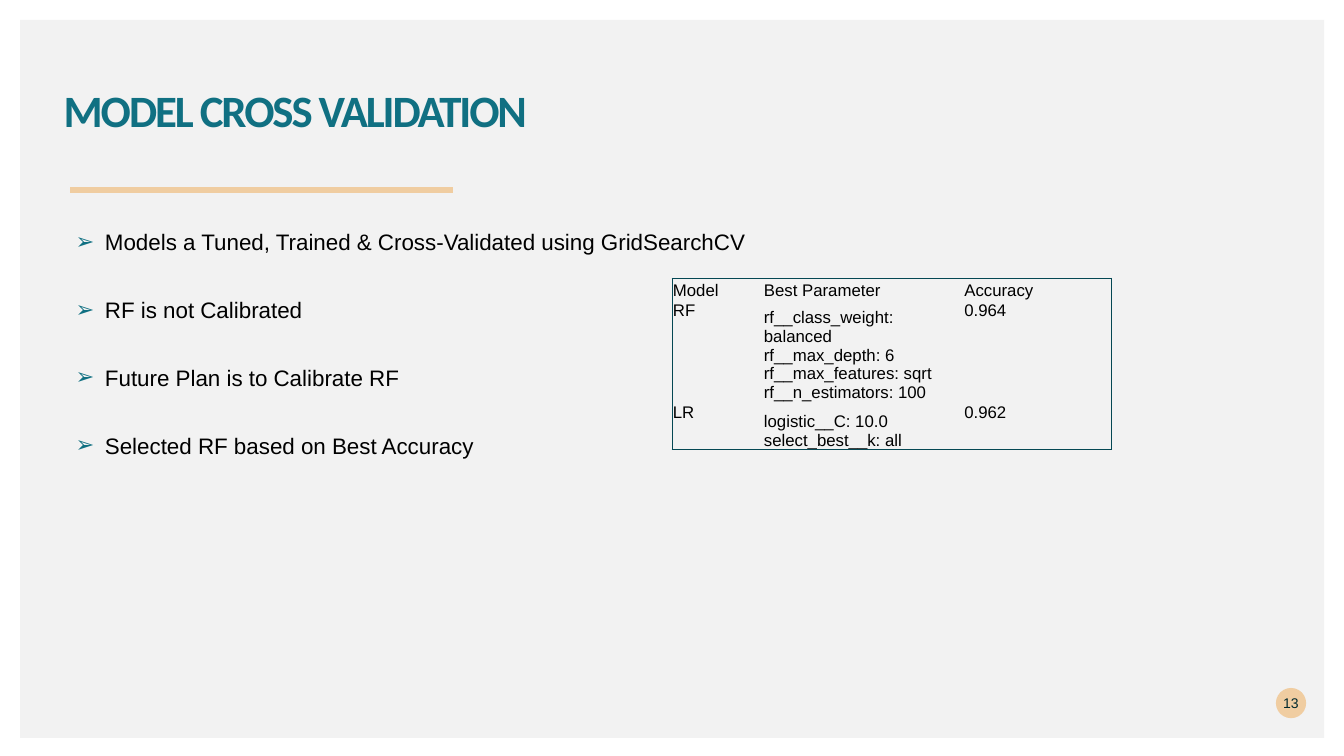
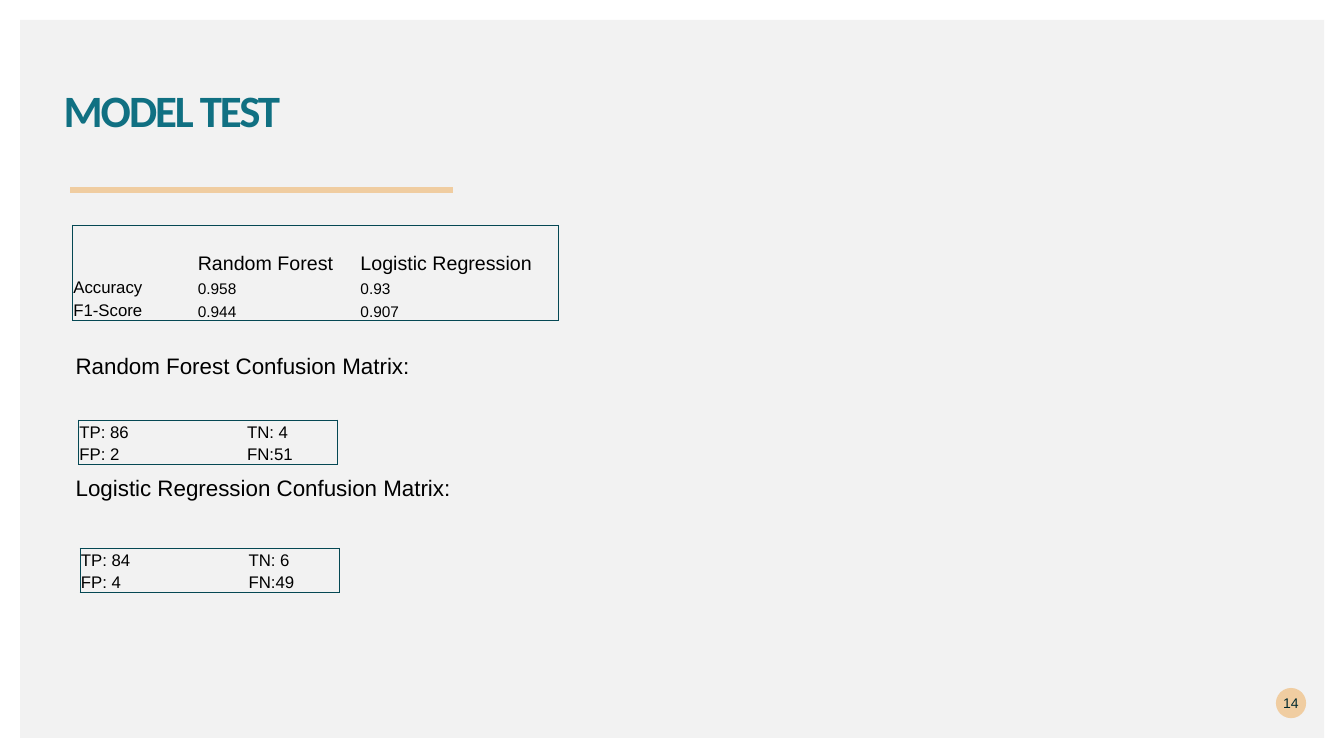
"""Builds two slides on cross validation and testing of the models."""
from dataclasses import dataclass
from typing import NamedTuple

from lxml.etree import SubElement
from pptx import Presentation
from pptx.dml.color import RGBColor
from pptx.enum.shapes import MSO_CONNECTOR, MSO_SHAPE
from pptx.enum.text import MSO_ANCHOR as ANCHOR, PP_ALIGN as ALIGN
from pptx.oxml.ns import qn
from pptx.util import Pt

WHITE = RGBColor(0xFF, 0xFF, 0xFF)
PANEL = RGBColor(0xF2, 0xF2, 0xF2)
TEAL = RGBColor(0x10, 0x70, 0x82)
SAND = RGBColor(0xF0, 0xCD, 0xA1)
BORDER = RGBColor(0x05, 0x48, 0x54)
INK = RGBColor(0x00, 0x29, 0x2E)
BLACK = RGBColor(0x00, 0x00, 0x00)
HEAD_FONT, BODY_FONT = "Calibri", "Arial"


class Cell(NamedTuple):
    text: str
    size: float = 12
    anchor: ANCHOR = ANCHOR.BOTTOM


@dataclass
class Grid:
    left: float
    top: float
    widths: list[float]
    heights: list[float]
    rows: list[list[Cell]]


class Heading(NamedTuple):
    text: str
    top: float


BULLETS = [
    "Models a Tuned, Trained & Cross-Validated using GridSearchCV",
    "RF is not Calibrated",
    "Future Plan is to Calibrate RF",
    "Selected RF based on Best Accuracy",
]
RF_PARAMS = "\n".join([
    "rf__class_weight: balanced",
    "rf__max_depth: 6",
    "rf__max_features: sqrt",
    "rf__n_estimators: 100",
])
LR_PARAMS = "logistic__C: 10.0\nselect_best__k: all"
VALIDATION = Grid(480, 198.8, [65, 143.2, 105.7], [15.8, 67.9, 34], [
    [Cell("Model"), Cell("Best Parameter"), Cell("Accuracy")],
    [Cell("RF", anchor=ANCHOR.TOP), Cell(RF_PARAMS), Cell("0.964", anchor=ANCHOR.TOP)],
    [Cell("LR", anchor=ANCHOR.TOP), Cell(LR_PARAMS), Cell("0.962", anchor=ANCHOR.TOP)],
])
SCORES = Grid(51.7, 160.8, [88.9, 116.2, 141.8], [35.2, 16.4, 16.4], [
    [Cell(""), Cell("Random Forest", 14), Cell("Logistic Regression", 14)],
    [Cell("Accuracy"), Cell("0.958", 11), Cell("0.93", 11)],
    [Cell("F1-Score"), Cell("0.944", 11), Cell("0.907", 11)],
])
HEADINGS = [
    Heading("Random Forest Confusion Matrix:", 251.2),
    Heading("Logistic Regression Confusion Matrix:", 338.4),
]


def confusion(left: float, top: float, tp: str, tn: str, fp: str, fn: str) -> Grid:
    rows = [[Cell(tp), Cell(tn)], [Cell(fp), Cell(fn)]]
    return Grid(left, top, [119.8, 65.3], [15.8, 15.8], rows)


TEST_GRIDS = [
    SCORES,
    confusion(56, 300, "TP: 86", "TN: 4", "FP: 2", "FN:51"),
    confusion(57.1, 391.5, "TP: 84", "TN: 6", "FP: 4", "FN:49"),
]


def add_run(p, text: str, size: float, color: RGBColor = BLACK, font: str = BODY_FONT):
    r = p.add_run()
    r.text = text
    r.font.size, r.font.name = Pt(size), font
    r.font.color.rgb = color
    return r


def clear_insets(tf) -> None:
    tf.margin_left = tf.margin_top = tf.margin_right = tf.margin_bottom = 0


def add_text_frame(s, left: float, top: float, width: float, height: float):
    tf = s.shapes.add_textbox(Pt(left), Pt(top), Pt(width), Pt(height)).text_frame
    clear_insets(tf)
    tf.word_wrap = True
    return tf


def add_filled(s, kind: MSO_SHAPE, left: float, top: float, width: float, height: float,
               color: RGBColor):
    sp = s.shapes.add_shape(kind, Pt(left), Pt(top), Pt(width), Pt(height))
    sp.shadow.inherit = False
    sp.fill.solid()
    sp.fill.fore_color.rgb = color
    sp.line.fill.background()
    return sp


def add_base(prs, title: str, number: int):
    s = prs.slides.add_slide(prs.slide_layouts[6])
    s.background.fill.solid()
    s.background.fill.fore_color.rgb = WHITE
    add_filled(s, MSO_SHAPE.RECTANGLE, 14.3, 14.3, 931.5, 512.8, PANEL)

    p = add_text_frame(s, 45.5, 63.4, 603.4, 61.9).paragraphs[0]
    p.line_spacing = 0.9
    r = add_run(p, title, 32, TEAL, HEAD_FONT)
    r.font.bold = True
    r.font._element.set("spc", "-150")

    badge = add_filled(s, MSO_SHAPE.OVAL, 911.4, 491.4, 21.6, 21.6, SAND)
    tf = badge.text_frame
    clear_insets(tf)
    tf.word_wrap = False
    tf.vertical_anchor = ANCHOR.MIDDLE
    tf.paragraphs[0].alignment = ALIGN.CENTER
    add_run(tf.paragraphs[0], str(number), 10, INK)

    rule = s.shapes.add_connector(
        MSO_CONNECTOR.STRAIGHT, Pt(50.1), Pt(135.8), Pt(323.5), Pt(135.8))
    rule.line.color.rgb, rule.line.width = SAND, Pt(4.32)
    SubElement(rule._element.spPr, qn("a:effectLst"))
    return s


def add_bullets(s, items: list[str]) -> None:
    tf = add_text_frame(s, 54, 144, 850, 340)
    for i, item in enumerate(items):
        p = tf.add_paragraph() if i else tf.paragraphs[0]
        p.line_spacing, p.space_after = 2.0, Pt(10)
        pr = p._p.get_or_add_pPr()
        pr.set("marL", str(Pt(21)))
        pr.set("indent", str(-Pt(21)))
        color = SubElement(pr, qn("a:buClr"))
        SubElement(color, qn("a:srgbClr"), val=str(TEAL))
        SubElement(pr, qn("a:buFont"), typeface=BODY_FONT)
        SubElement(pr, qn("a:buChar"), char="➢")
        add_run(p, item, 16)


def set_borders(cell, edges: dict[str, bool]) -> None:
    pr = cell._tc.get_or_add_tcPr()
    for i, (side, outer) in enumerate(edges.items()):
        ln = SubElement(pr, qn(f"a:ln{side}"), w=str(Pt(0.5)))
        if outer:
            fill = SubElement(ln, qn("a:solidFill"))
            SubElement(fill, qn("a:srgbClr"), val=str(BORDER))
        else:
            SubElement(ln, qn("a:noFill"))
        pr.insert(i, ln)


def fill_cell(cell, data: Cell) -> None:
    cell.fill.background()
    cell.vertical_anchor = data.anchor
    cell.margin_left = cell.margin_top = cell.margin_right = Pt(0.7)
    cell.margin_bottom = 0
    p = cell.text_frame.paragraphs[0]
    p.font.size = Pt(data.size)
    for i, line in enumerate(data.text.split("\n")):
        if i:
            p.add_line_break()
        if line:
            add_run(p, line, data.size)


def add_grid(s, grid: Grid) -> None:
    n_rows, n_cols = len(grid.heights), len(grid.widths)
    table = s.shapes.add_table(
        n_rows, n_cols, Pt(grid.left), Pt(grid.top),
        Pt(sum(grid.widths)), Pt(sum(grid.heights))).table
    table.first_row = table.horz_banding = False
    for col, width in zip(table.columns, grid.widths):
        col.width = Pt(width)
    for i, (row, height) in enumerate(zip(table.rows, grid.heights)):
        row.height = Pt(height)
        for j, data in enumerate(grid.rows[i]):
            cell = table.cell(i, j)
            fill_cell(cell, data)
            set_borders(cell, {"L": j == 0, "R": j == n_cols - 1,
                               "T": i == 0, "B": i == n_rows - 1})


def main() -> None:
    prs = Presentation()
    prs.slide_width, prs.slide_height = Pt(960), Pt(540)

    s = add_base(prs, "MODEL CROSS VALIDATION", 13)
    add_bullets(s, BULLETS)
    add_grid(s, VALIDATION)

    s = add_base(prs, "MODEL TEST", 14)
    for heading in HEADINGS:
        tf = add_text_frame(s, 54, heading.top, 400, 20)
        add_run(tf.paragraphs[0], heading.text, 16)
    for grid in TEST_GRIDS:
        add_grid(s, grid)

    prs.save("out.pptx")


if __name__ == "__main__":
    main()
